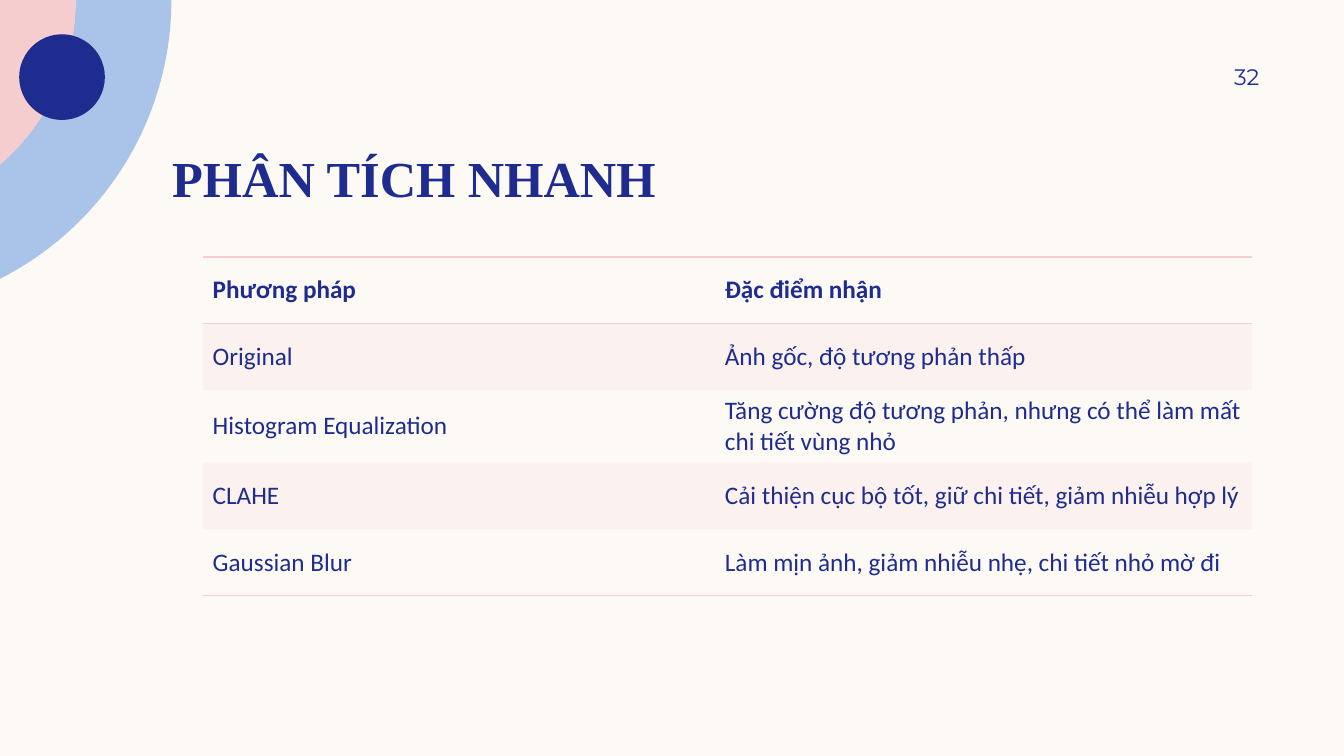
import math

from lxml import etree
from pptx import Presentation
from pptx.dml.color import RGBColor
from pptx.enum import shapes, text
from pptx.oxml import ns
from pptx.util import Inches, Pt

CREAM, NAVY, PINK, BLUE = "FDFAF6", "1F2C8F", "F5CDCE", "AAC3E8"
NO_GRID_STYLE = "{2D5ABB26-0587-4C30-8999-92F81FD0307C}"
ARC_CENTER_X = -1.4
INNER_RADIUS, OUTER_RADIUS = 2.15, 3.1
COLUMN_WIDTHS = (5.08, 5.33)
ROW_HEIGHTS = (0.66, 0.66, 0.72, 0.66, 0.66)
METHODS = (
    ("Phương pháp", "Đặc điểm nhận"),
    ("Original", "Ảnh gốc, độ tương phản thấp"),
    ("Histogram Equalization", "Tăng cường độ tương phản, nhưng có thể làm mất chi tiết vùng nhỏ"),
    ("CLAHE", "Cải thiện cục bộ tốt, giữ chi tiết, giảm nhiễu hợp lý"),
    ("Gaussian Blur", "Làm mịn ảnh, giảm nhiễu nhẹ, chi tiết nhỏ mờ đi"),
)


def color(value):
    """Return the colour for a hex string."""
    return RGBColor.from_string(value)


def paint(shape, fill):
    """Give a shape a plain fill without line or shadow."""
    shape.shadow.inherit = False
    shape.fill.solid()
    shape.fill.fore_color.rgb = color(fill)
    shape.line.fill.background()


def arc_points(radius):
    """Return the Bézier points of an arc from the top to the left slide edge."""
    sweep = math.acos(-ARC_CENTER_X / radius)
    handle = radius * 4 / 3 * math.tan(sweep / 4)
    end_y = radius * math.sin(sweep)
    points = ((ARC_CENTER_X + radius, 0),
              (ARC_CENTER_X + radius, handle),
              (handle * math.sin(sweep), end_y - handle * math.cos(sweep)),
              (0, end_y))
    return [(Inches(x), Inches(y)) for x, y in points]


def add_outline(slide, points, curve_starts, fill):
    """Add a closed shape, turning three segments from each start into a curve."""
    builder = slide.shapes.build_freeform(*points[0], scale=1.0)
    builder.add_line_segments(points[1:], close=True)
    shape = builder.convert_to_shape()
    segments = list(shape._element.iter(ns.qn("a:lnTo")))
    for start in curve_starts:
        curve = etree.Element(ns.qn("a:cubicBezTo"))
        segments[start].addprevious(curve)
        for segment in segments[start:start + 3]:
            curve.append(segment[0])
            segment.getparent().remove(segment)
    paint(shape, fill)


def add_corner(slide):
    """Add the concentric rings and the dot in the corner."""
    inner = arc_points(INNER_RADIUS)
    add_outline(slide, arc_points(OUTER_RADIUS) + inner[::-1], (0, 4), BLUE)
    add_outline(slide, inner + [(0, 0)], (0,), PINK)
    dot = slide.shapes.add_shape(shapes.MSO_SHAPE.OVAL, Inches(0.19), Inches(0.34),
                                 Inches(0.85), Inches(0.85))
    paint(dot, NAVY)


def format_text(frame, font_name, size, bold=False):
    """Format every run of a text frame."""
    for paragraph in frame.paragraphs:
        for run in paragraph.runs:
            run.font.name = font_name
            run.font.size = Pt(size)
            run.font.bold = bold
            run.font.color.rgb = color(NAVY)


def add_text(slide, content, box, anchor, font_name, size, margins, bold=False,
             align=text.PP_ALIGN.LEFT):
    """Add a one-paragraph text box."""
    frame = slide.shapes.add_textbox(*map(Inches, box)).text_frame
    frame.word_wrap = True
    frame.vertical_anchor = anchor
    (frame.margin_left, frame.margin_top,
     frame.margin_right, frame.margin_bottom) = map(Inches, margins)
    frame.text = content
    frame.paragraphs[0].alignment = align
    format_text(frame, font_name, size, bold)


def add_borders(cell, tags):
    """Draw the named cell borders in pink."""
    properties = cell._tc.get_or_add_tcPr()
    for position, tag in enumerate(tags):
        line = etree.Element(ns.qn(tag), w=str(Pt(1)))
        fill = etree.SubElement(line, ns.qn("a:solidFill"))
        etree.SubElement(fill, ns.qn("a:srgbClr"), val=PINK)
        properties.insert(position, line)


def fill_cell(cell, banded):
    """Tint a banded cell and leave the others clear."""
    if not banded:
        cell.fill.background()
        return
    cell.fill.solid()
    cell.fill.fore_color.rgb = color(PINK)
    tint = cell._tc.tcPr.find(".//" + ns.qn("a:srgbClr"))
    etree.SubElement(tint, ns.qn("a:alpha"), val="20000")


def add_methods_table(slide):
    """Add the table of methods and their traits."""
    table = slide.shapes.add_table(
        len(METHODS), len(COLUMN_WIDTHS), Inches(2.01), Inches(2.55),
        Inches(sum(COLUMN_WIDTHS)), Inches(sum(ROW_HEIGHTS))).table
    table._tbl.tblPr.find(ns.qn("a:tableStyleId")).text = NO_GRID_STYLE
    for column, width in zip(table.columns, COLUMN_WIDTHS):
        column.width = Inches(width)
    borders = {0: ("a:lnT", "a:lnB"), len(METHODS) - 1: ("a:lnB",)}
    for index, (row, height) in enumerate(zip(table.rows, ROW_HEIGHTS)):
        row.height = Inches(height)
        for cell, content in zip(row.cells, METHODS[index]):
            cell.text_frame.text = content
            cell.vertical_anchor = text.MSO_ANCHOR.MIDDLE
            format_text(cell.text_frame, "Calibri", 18, bold=index == 0)
            fill_cell(cell, banded=index % 2 == 1)
            add_borders(cell, borders.get(index, ()))


def main():
    """Build the slide and save it."""
    presentation = Presentation()
    presentation.slide_width = Inches(13.33)
    presentation.slide_height = Inches(7.5)
    slide = presentation.slides.add_slide(presentation.slide_layouts[6])
    slide.background.fill.solid()
    slide.background.fill.fore_color.rgb = color(CREAM)
    add_corner(slide)
    add_text(slide, "PHÂN TÍCH NHANH", (1.61, 0.99, 10.8, 1.07), text.MSO_ANCHOR.BOTTOM,
             "Times New Roman", 36, (0.1, 0, 0.1, 0), bold=True)
    add_methods_table(slide)
    add_text(slide, "32", (11.32, 0.5, 1.17, 0.52), text.MSO_ANCHOR.MIDDLE,
             "Montserrat", 16, (0.1, 0.05, 0, 0.05), align=text.PP_ALIGN.RIGHT)
    presentation.save("out.pptx")


if __name__ == "__main__":
    main()
